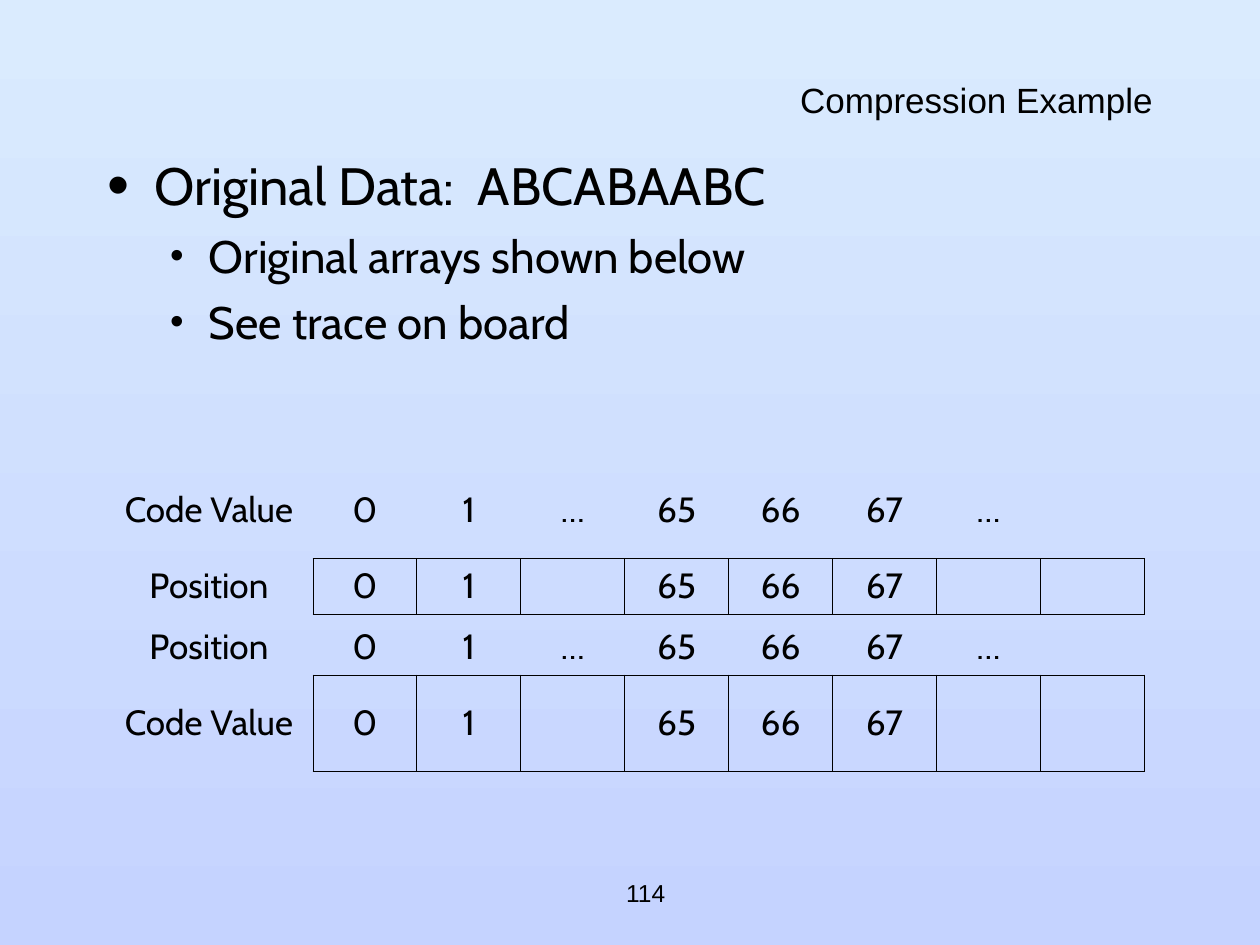
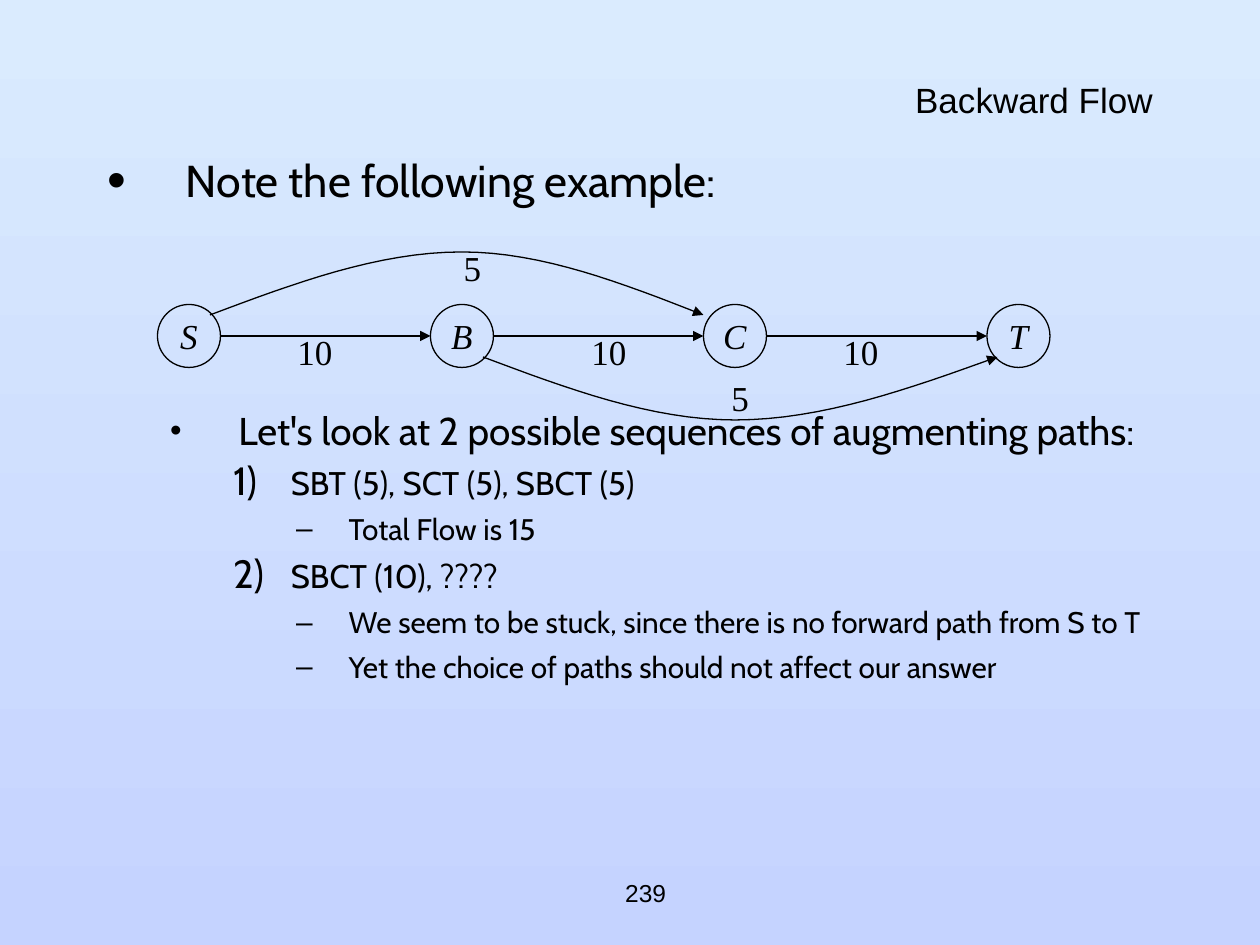
from dataclasses import dataclass
from itertools import product

from lxml import etree
from pptx import Presentation
from pptx import util as u
from pptx.dml.color import RGBColor
from pptx.enum import shapes, text
from pptx.oxml.ns import qn

PX = 7620


@dataclass(frozen=True)
class Theme:
    ink: str = "000000"
    sky_top: str = "DAEBFE"
    sky_bottom: str = "C5D3FF"
    heading_font: str = "Arial"
    body_font: str = "Cabin"
    graph_font: str = "Times New Roman"
    heading_size: float = 20
    table_size: float = 20
    graph_size: float = 20
    number_size: float = 14
    stroke: float = 0.75
    table_stroke: float = 0.45


THEME = Theme()
SLIDE_SIZE = (1200, 900)
TITLE_BOX = (90, 80, 1020, 40)
BODY_BOX = (90, 140, 1020, 660)
NUMBER_BOX = (490, 820, 250, 60)
NO_GRID_STYLE = "{2D5ABB26-0587-4C30-8999-92F81FD0307C}"

LIST_STYLES = {
    "main": dict(level=0, size=30, left=45, hang=45, before=7.5, bullet="•", percent=120),
    "sub": dict(level=1, size=26, left=97, hang=37, before=6.5, bullet="•", percent=85),
    "note": dict(level=0, size=25.5, left=75, hang=75, before=7.5, bullet="•", percent=120),
    "after graph": dict(level=1, size=22.1, left=125, hang=65, before=114, bullet="•", percent=85),
    "path": dict(level=2, size=18.7, left=175, hang=55, before=5.5, bullet=None, percent=120),
    "remark": dict(level=3, size=17, left=230, hang=50, before=5, bullet="–", percent=100),
}

COMPRESSION = {
    "title": "Compression Example",
    "number": "114",
    "list": [
        ("main", "Original Data:  ABCABAABC"),
        ("sub", "Original arrays shown below"),
        ("sub", "See trace on board"),
    ],
}
CODES = ["0", "1", "…", "65", "66", "67", "…", ""]
TABLE_LEFT, LABEL_WIDTH, CELL_WIDTH = 100, 198, 99
ARRAYS = [
    {"top": 440, "labels": ("Code Value", "Position"), "heights": (92, 53)},
    {"top": 590, "labels": ("Position", "Code Value"), "heights": (53, 92)},
]

BACKWARD_FLOW = {
    "title": "Backward Flow",
    "number": "239",
    "list": [
        ("note", "Note the following example:"),
        ("after graph", "Let's look at 2 possible sequences of augmenting paths:"),
        ("path", "SBT (5), SCT (5), SBCT (5)"),
        ("remark", "Total Flow is 15"),
        ("path", "SBCT (10), ????"),
        ("remark", "We seem to be stuck, since there is no forward path from S to T"),
        ("remark", "Yet the choice of paths should not affect our answer"),
    ],
}
NODE_TOP, NODE_SIZE = 290, 60
NODES = {"S": 150, "B": 410, "C": 670, "T": 940}
EDGES = ["SB", "BC", "CT"]
ARCS = [((200, 300), (440, 240), (670, 300)), ((460, 340), (700, 400), (950, 340))]
CAPACITIES = [("10", 260, 310), ("10", 540, 310), ("10", 780, 310), ("5", 410, 230), ("5", 665, 354)]
CAPACITY_SIZE = (80, 50)
ARC_STEPS = 16


def emu(*lengths):
    return [u.Emu(round(length * PX)) for length in lengths]


def apply(target, values):
    for name, value in values.items():
        setattr(target, name, value)


def add_xml(parent, tag, **attributes):
    return etree.SubElement(parent, qn(tag), {key: str(value) for key, value in attributes.items()})


def write(paragraph, words, font, size, italic=False, **format_values):
    apply(paragraph, format_values)
    run = paragraph.add_run()
    run.text = words
    apply(run.font, {"name": font, "size": u.Pt(size), "italic": italic})
    run.font.color.rgb = RGBColor.from_string(THEME.ink)


def center(shape, words, font, size, italic=False, wrap=False):
    apply(shape.text_frame, {"word_wrap": wrap, "vertical_anchor": text.MSO_ANCHOR.MIDDLE})
    write(shape.text_frame.paragraphs[0], words, font, size, italic, alignment=text.PP_ALIGN.CENTER)


def place(shape, box):
    apply(shape, dict(zip(("left", "top", "width", "height"), emu(*box))))


def add_bullet(paragraph, style, number):
    properties = paragraph._p.get_or_add_pPr()
    properties.set("marL", str(style["left"] * PX))
    properties.set("indent", str(-style["hang"] * PX))
    color = add_xml(properties, "a:buClr")
    add_xml(color, "a:srgbClr", val=THEME.ink)
    add_xml(properties, "a:buSzPct", val=style["percent"] * 1000)
    if style["bullet"]:
        add_xml(properties, "a:buFont", typeface=THEME.heading_font)
        add_xml(properties, "a:buChar", char=style["bullet"])
    else:
        add_xml(properties, "a:buFont", typeface=THEME.body_font)
        add_xml(properties, "a:buAutoNum", type="arabicParenR", startAt=number)


def fill_list(frame, items):
    apply(frame, {"auto_size": text.MSO_AUTO_SIZE.NONE, "vertical_anchor": text.MSO_ANCHOR.TOP})
    number = 0
    for index, (kind, words) in enumerate(items):
        style = LIST_STYLES[kind]
        number += style["bullet"] is None
        paragraph = frame.add_paragraph() if index else frame.paragraphs[0]
        write(paragraph, words, THEME.body_font, style["size"],
              level=style["level"], space_before=u.Pt(style["before"]))
        add_bullet(paragraph, style, number)


def add_slide(presentation, content):
    slide = presentation.slides.add_slide(presentation.slide_layouts[1])
    title, body = slide.placeholders
    place(title, TITLE_BOX)
    apply(title.text_frame, {"auto_size": text.MSO_AUTO_SIZE.NONE,
                             "vertical_anchor": text.MSO_ANCHOR.MIDDLE})
    write(title.text_frame.paragraphs[0], content["title"], THEME.heading_font,
          THEME.heading_size, alignment=text.PP_ALIGN.RIGHT, line_spacing=0.7)
    place(body, BODY_BOX)
    fill_list(body.text_frame, content["list"])
    number = slide.shapes.add_textbox(*emu(*NUMBER_BOX))
    center(number, content["number"], THEME.heading_font, THEME.number_size, wrap=True)
    return slide


def add_borders(cell):
    properties = cell._tc.get_or_add_tcPr()
    for side in "LRTB":
        line = add_xml(properties, f"a:ln{side}", w=u.Pt(THEME.table_stroke))
        add_xml(add_xml(line, "a:solidFill"), "a:srgbClr", val=THEME.ink)


def add_array(slide, array):
    widths = [LABEL_WIDTH] + [CELL_WIDTH] * len(CODES)
    heights = array["heights"]
    box = (TABLE_LEFT, array["top"], sum(widths), sum(heights))
    table = slide.shapes.add_table(len(heights), len(widths), *emu(*box)).table
    apply(table, {"first_row": False, "horz_banding": False})
    table._tbl.tblPr.find(qn("a:tableStyleId")).text = NO_GRID_STYLE
    for column, width in zip(table.columns, emu(*widths)):
        column.width = width
    for row, height in zip(table.rows, emu(*heights)):
        row.height = height
    stored = [code.replace("…", "") for code in CODES]
    rows = [[label, *codes] for label, codes in zip(array["labels"], (CODES, stored))]
    for row, column in product(range(len(rows)), range(len(widths))):
        cell = table.cell(row, column)
        cell.vertical_anchor = text.MSO_ANCHOR.MIDDLE
        if row and column:
            add_borders(cell)
        cell.fill.background()
        if rows[row][column]:
            write(cell.text_frame.paragraphs[0], rows[row][column], THEME.body_font,
                  THEME.table_size, alignment=text.PP_ALIGN.CENTER, space_before=u.Pt(5))


def draw_line(shape, arrow=True):
    shape.line.color.rgb = RGBColor.from_string(THEME.ink)
    shape.line.width = u.Pt(THEME.stroke)
    if arrow:
        add_xml(shape.line._get_or_add_ln(), "a:tailEnd", type="triangle")


def add_node(slide, name, left):
    node = slide.shapes.add_shape(shapes.MSO_SHAPE.OVAL, *emu(left, NODE_TOP, NODE_SIZE, NODE_SIZE))
    node.shadow.inherit = False
    node.fill.background()
    draw_line(node, arrow=False)
    center(node, name, THEME.graph_font, THEME.graph_size, italic=True)


def add_edge(slide, start, end):
    middle = NODE_TOP + NODE_SIZE / 2
    ends = emu(NODES[start] + NODE_SIZE, middle, NODES[end], middle)
    edge = slide.shapes.add_connector(shapes.MSO_CONNECTOR.STRAIGHT, *ends)
    draw_line(edge)
    add_xml(edge._element.spPr, "a:effectLst")


def bezier(controls, t):
    weights = ((1 - t) ** 3, 3 * t * (1 - t) ** 2, 3 * t * t * (1 - t), t ** 3)
    return emu(*(sum(w * value for w, value in zip(weights, axis)) for axis in zip(*controls)))


def half_arc(foot, apex):
    (x, y), (apex_x, apex_y) = foot, apex
    third = (apex_x - x) / 3
    return [foot, (x + third, (y + apex_y) / 2), (x + 2 * third, apex_y), apex]


def add_arc(slide, start, apex, end):
    rise, fall = half_arc(start, apex), half_arc(end, apex)[::-1]
    points = [bezier(half, step / ARC_STEPS)
              for half in (rise, fall) for step in range(1, ARC_STEPS + 1)]
    builder = slide.shapes.build_freeform(*emu(*start))
    builder.add_line_segments(points, close=False)
    arc = builder.convert_to_shape()
    arc.shadow.inherit = False
    arc.fill.background()
    draw_line(arc)


def paint_background(presentation):
    fill = presentation.slide_master.background.fill
    fill.gradient()
    fill.gradient_angle = 270
    for stop, position, color in zip(fill.gradient_stops, (0, 1), (THEME.sky_top, THEME.sky_bottom)):
        stop.position = position
        stop.color.rgb = RGBColor.from_string(color)


def main():
    presentation = Presentation()
    presentation.slide_width, presentation.slide_height = emu(*SLIDE_SIZE)
    paint_background(presentation)

    compression = add_slide(presentation, COMPRESSION)
    for array in ARRAYS:
        add_array(compression, array)

    flow = add_slide(presentation, BACKWARD_FLOW)
    for name, left in NODES.items():
        add_node(flow, name, left)
    for start, end in EDGES:
        add_edge(flow, start, end)
    for arc in ARCS:
        add_arc(flow, *arc)
    for capacity, left, top in CAPACITIES:
        label = flow.shapes.add_textbox(*emu(left, top, *CAPACITY_SIZE))
        center(label, capacity, THEME.graph_font, THEME.graph_size)

    presentation.save("out.pptx")


if __name__ == "__main__":
    main()
